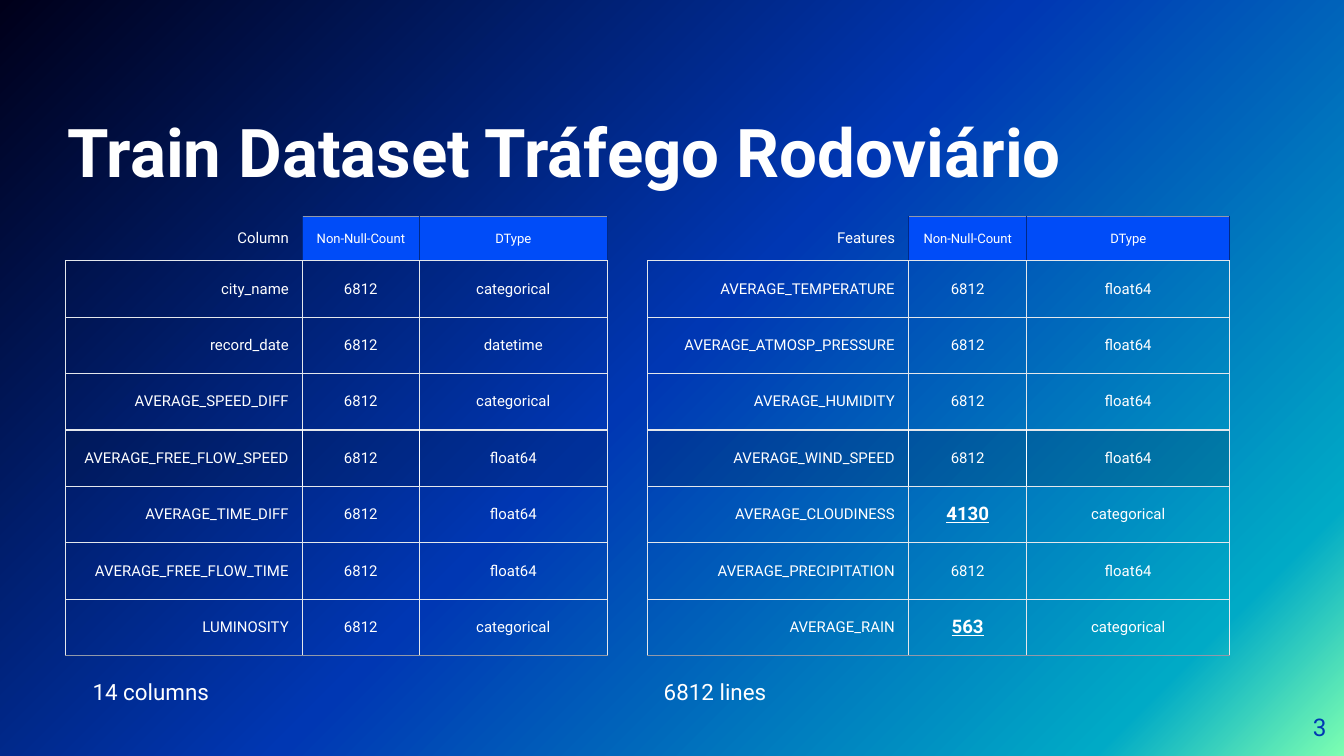
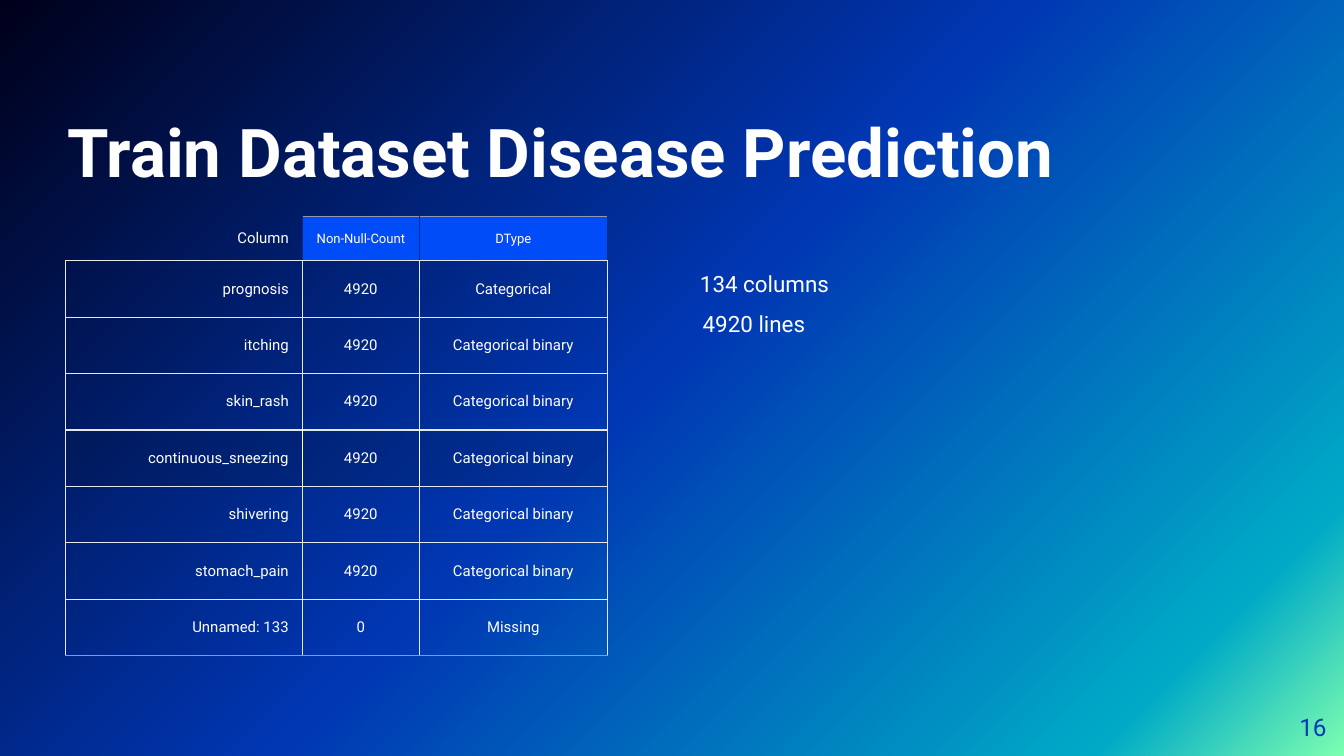
from pptx import Presentation
from pptx.dml.color import RGBColor
from pptx.enum.text import MSO_ANCHOR as Anchor, MSO_AUTO_SIZE as AutoSize, PP_ALIGN as Align
from pptx.oxml import parse_xml
from pptx.oxml.ns import nsdecls
from pptx.util import Inches, Pt

COLORS = {
    "white": "FFFFFF", "number": "0037B3", "header": "004CF8", "shade": "001230",
    "grid": "E4E7EC", "outer": "9199AA", "dark": "002988",
}
GRADIENT = [(0, "7DFFB1"), (12, "00AAC6"), (51, "0037B3"), (100, "00001A")]
GRADIENT_ANGLE = 225
FONT = "Roboto"
PLAIN_TABLE_STYLE = "{2D5ABB26-0587-4C30-8999-92F81FD0307C}"
HEADER_HEIGHT, ROW_HEIGHT = 0.33, 0.42
SHADED_ROW = 4
SHADE_ALPHA = 19

TITLE = {"size": Pt(36), "bold": True}
NUMBER = {"size": Pt(13)}
NOTE = {"size": Pt(12)}
HEADING = {"size": Pt(7)}
BODY = {"size": Pt(8)}
STRONG = {"size": Pt(10), "bold": True, "underline": True}

LEFT_TABLE = {"left": 0.49, "widths": [1.76, 0.87, 1.4]}
RIGHT_TABLE = {"left": 4.82, "widths": [1.94, 0.88, 1.51]}
TRAFFIC_ROWS = [
    ("city_name", "6812", "categorical"),
    ("record_date", "6812", "datetime"),
    ("AVERAGE_SPEED_DIFF", "6812", "categorical"),
    ("AVERAGE_FREE_FLOW_SPEED", "6812", "float64"),
    ("AVERAGE_TIME_DIFF", "6812", "float64"),
    ("AVERAGE_FREE_FLOW_TIME", "6812", "float64"),
    ("LUMINOSITY", "6812", "categorical"),
]
WEATHER_ROWS = [
    ("AVERAGE_TEMPERATURE", "6812", "float64"),
    ("AVERAGE_ATMOSP_PRESSURE", "6812", "float64"),
    ("AVERAGE_HUMIDITY", "6812", "float64"),
    ("AVERAGE_WIND_SPEED", "6812", "float64"),
    ("AVERAGE_CLOUDINESS", "4130", "categorical"),
    ("AVERAGE_PRECIPITATION", "6812", "float64"),
    ("AVERAGE_RAIN", "563", "categorical"),
]
DISEASE_ROWS = [
    ("prognosis", "4920", "Categorical"),
    ("itching", "4920", "Categorical binary"),
    ("skin_rash", "4920", "Categorical binary"),
    ("continuous_sneezing", "4920", "Categorical binary"),
    ("shivering", "4920", "Categorical binary"),
    ("stomach_pain", "4920", "Categorical binary"),
    ("Unnamed: 133", "0", "Missing"),
]


def cell_edges(row, column, last_row):
    """Return the colour name of each drawn edge of a cell."""
    if row == 0:
        edges = {"B": "grid"}
        if column > 0:
            edges["T"] = "outer"
        edges["L" if column == 1 else "R"] = "dark"
        return edges
    edges = {"T": "grid", "B": "outer" if row == last_row else "grid"}
    divider = "white" if row == SHADED_ROW else "grid"
    if column == 0:
        edges.update(L="grid", R=divider)
    elif column == 1:
        edges["L"] = divider
    else:
        edges["R"] = "grid"
    return edges


class DatasetDeck:
    def __init__(self):
        self.deck = Presentation()
        self.deck.slide_width = Inches(10)
        self.deck.slide_height = Inches(5.625)
        self.page = None

    def add_page(self, title, number):
        self.page = self.deck.slides.add_slide(self.deck.slide_layouts[5])
        self.paint_background()
        box = self.page.shapes.title
        box.left, box.top, box.width, box.height = map(Inches, (0.5, 0.48, 7.94, 0.94))
        self.set_frame(box.text_frame, Anchor.BOTTOM)
        self.put_text(box.text_frame, title, TITLE)
        self.add_text(number, (9.27, 5.19, 0.6, 0.43), NUMBER, "number", Align.RIGHT)

    def paint_background(self):
        self.page.background.fill.gradient()
        stops = "".join(
            f'<a:gs pos="{pos * 1000}"><a:srgbClr val="{color}"/></a:gs>' for pos, color in GRADIENT
        )
        gradient = self.page.element.xpath(".//p:bgPr/a:gradFill")[0]
        gradient.getparent().replace(gradient, parse_xml(
            f'<a:gradFill {nsdecls("a")} rotWithShape="1"><a:gsLst>{stops}</a:gsLst>'
            f'<a:lin ang="{GRADIENT_ANGLE * 60000}" scaled="0"/></a:gradFill>'))

    def set_frame(self, frame, anchor):
        """Wrap the text and drop the insets."""
        frame.word_wrap = True
        frame.auto_size = AutoSize.NONE
        frame.vertical_anchor = anchor
        for side in ("left", "top", "right", "bottom"):
            setattr(frame, f"margin_{side}", 0)

    def put_text(self, frame, text, style, color="white", align=Align.LEFT):
        para = frame.paragraphs[0]
        para.alignment = align
        span = para.add_run()
        span.text = text
        for name, value in {"name": FONT, **style}.items():
            setattr(span.font, name, value)
        span.font.color.rgb = RGBColor.from_string(COLORS[color])

    def add_text(self, text, place, style, color="white", align=Align.LEFT):
        box = self.page.shapes.add_textbox(*map(Inches, place))
        self.set_frame(box.text_frame, Anchor.MIDDLE)
        self.put_text(box.text_frame, text, style, color, align)

    def add_note(self, text, left, top):
        box = self.page.shapes.add_textbox(*map(Inches, (left, top, 2.65, 0.3)))
        box.text_frame.word_wrap = True
        box.text_frame.auto_size = AutoSize.SHAPE_TO_FIT_TEXT
        self.put_text(box.text_frame, text, NOTE)

    def add_table(self, first_heading, rows, left, widths, strong=()):
        """Draw a dataset table; counts listed in strong are emphasised."""
        lines = [(first_heading, "Non-Null-Count", "DType"), *rows]
        heights = [HEADER_HEIGHT] + [ROW_HEIGHT] * len(rows)
        frame = self.page.shapes.add_table(
            len(lines), len(widths), Inches(left), Inches(1.61),
            Inches(sum(widths)), Inches(sum(heights)))
        frame.element.xpath(".//a:tableStyleId")[0].text = PLAIN_TABLE_STYLE
        table = frame.table
        table.first_row = table.horz_banding = False
        for column, width in zip(table.columns, widths):
            column.width = Inches(width)
        for row, height in zip(table.rows, heights):
            row.height = Inches(height)
        for r, line in enumerate(lines):
            for c, text in enumerate(line):
                cell = table.cell(r, c)
                style = HEADING if r == 0 and c else STRONG if text in strong else BODY
                self.put_text(cell.text_frame, text, style, align=Align.CENTER if c else Align.RIGHT)
                self.format_cell(cell, r, c, len(rows))

    def format_cell(self, cell, row, column, last_row):
        cell.vertical_anchor = Anchor.MIDDLE
        for side in ("left", "top", "right", "bottom"):
            setattr(cell, f"margin_{side}", Inches(0.1))
        if row == 0 and column:
            self.fill_cell(cell, "header")
        elif row == SHADED_ROW:
            self.fill_cell(cell, "shade", SHADE_ALPHA)
        else:
            cell.fill.background()
        edges = cell_edges(row, column, last_row)
        drawn = [side for side in "LRTB" if side in edges]
        properties = cell._tc.get_or_add_tcPr()
        for index, side in enumerate(drawn):
            properties.insert(index, parse_xml(
                f'<a:ln{side} {nsdecls("a")} w="{Pt(0.75)}"><a:solidFill>'
                f'<a:srgbClr val="{COLORS[edges[side]]}"/></a:solidFill></a:ln{side}>'))

    def fill_cell(self, cell, color, alpha=100):
        cell.fill.solid()
        cell.fill.fore_color.rgb = RGBColor.from_string(COLORS[color])
        if alpha < 100:
            tint = cell._tc.xpath("./a:tcPr/a:solidFill/a:srgbClr")[0]
            tint.append(parse_xml(f'<a:alpha {nsdecls("a")} val="{alpha * 1000}"/>'))


def main():
    show = DatasetDeck()

    show.add_page("Train Dataset Tráfego Rodoviário", "3")
    show.add_table("Column", TRAFFIC_ROWS, **LEFT_TABLE)
    show.add_table("Features", WEATHER_ROWS, **RIGHT_TABLE, strong=("4130", "563"))
    show.add_note("14 columns", 0.59, 5)
    show.add_note("6812 lines", 4.84, 5)

    show.add_page("Train Dataset Disease Prediction", "16")
    show.add_table("Column", DISEASE_ROWS, **LEFT_TABLE)
    show.add_note("134 columns", 5.11, 1.96)
    show.add_note("4920 lines", 5.13, 2.26)

    show.deck.save("out.pptx")


if __name__ == "__main__":
    main()
